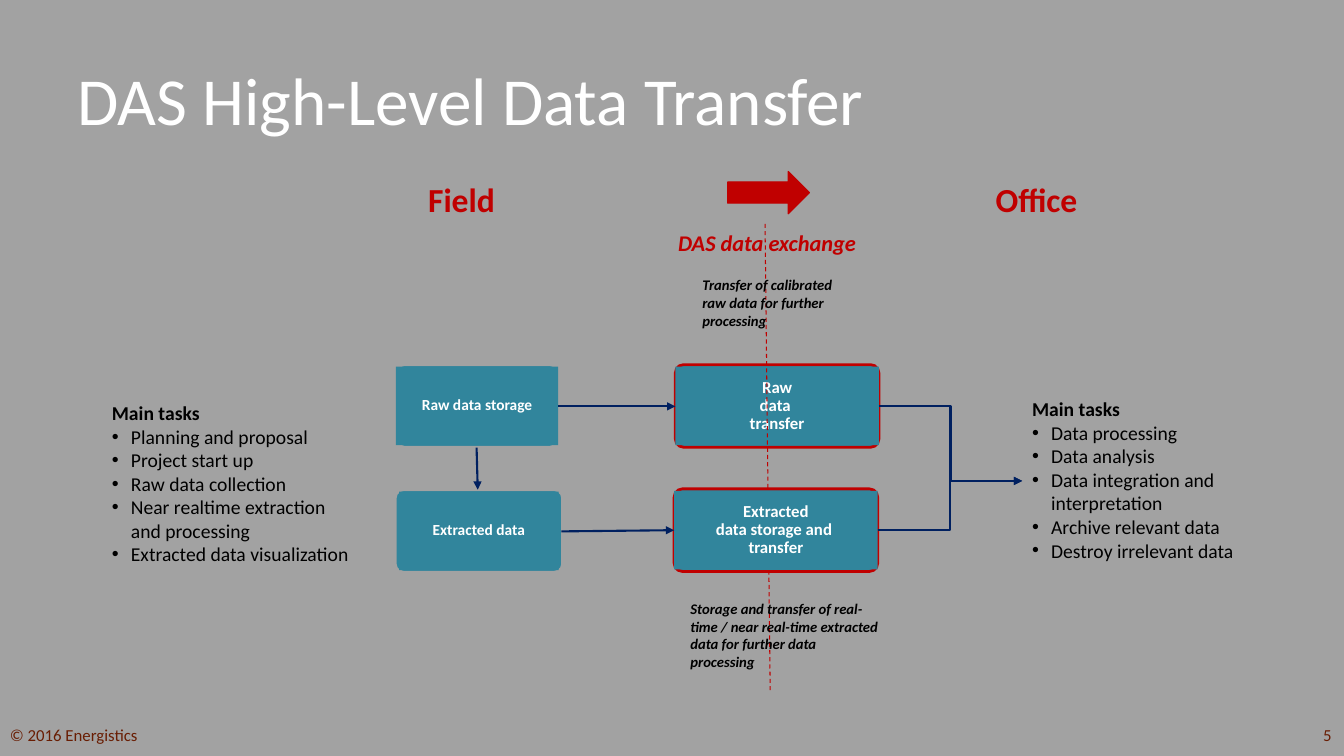
from copy import deepcopy
from pptx import Presentation
from pptx.dml.color import RGBColor
from pptx.enum.dml import MSO_LINE
from pptx.enum.shapes import MSO_CONNECTOR, MSO_SHAPE
from pptx.enum.text import MSO_ANCHOR, PP_ALIGN
from pptx.oxml.ns import qn
from pptx.util import Cm, Pt
from lxml.etree import SubElement

RED, NAVY, TEAL, GREY = "C00000", "002060", "31859C", "A2A2A2"
WHITE, BLACK, BROWN = "FFFFFF", "000000", "691D03"


def paint(shape, fill=None, line=None, width=1):
    if fill:
        shape.shadow.inherit = False
        shape.fill.solid()
        shape.fill.fore_color.rgb = RGBColor.from_string(fill)
    else:
        SubElement(shape._element.spPr, qn("a:effectLst"))
    if line:
        shape.line.color.rgb = RGBColor.from_string(line)
        shape.line.width = Pt(width)
    else:
        shape.line.fill.background()


def write(shape, text, size=14, color=BLACK, bold=False, italic=False, align=PP_ALIGN.LEFT,
          anchor=MSO_ANCHOR.TOP, insets=(0.25, 0.13, 0.25, 0.13), spacing=1.0,
          bullets=(), wrap=True):
    frame = shape.text_frame
    frame.word_wrap = wrap
    frame.vertical_anchor = anchor
    frame.margin_left, frame.margin_top, frame.margin_right, frame.margin_bottom = map(Cm, insets)
    for index, content in enumerate((text, *bullets)):
        paragraph = frame.add_paragraph() if index else frame.paragraphs[0]
        paragraph.text = content
        paragraph.alignment = align
        paragraph.line_spacing = spacing
        if index:
            properties = paragraph._p.get_or_add_pPr()
            properties.set("marL", str(Cm(0.48)))
            properties.set("indent", str(-Cm(0.48)))
            SubElement(properties, qn("a:buFont")).set("typeface", "Arial")
            SubElement(properties, qn("a:buChar")).set("char", "•")
        for run in paragraph.runs:
            run.font.name = "Calibri"
            run.font.size = Pt(size)
            run.font.bold = bold and not index
            run.font.italic = italic
            run.font.color.rgb = RGBColor.from_string(color)
        for line_break in paragraph._p.findall(qn("a:br")):
            line_break.insert(0, deepcopy(paragraph.runs[0]._r.rPr))


presentation = Presentation()
presentation.slide_width = Cm(33.87)
presentation.slide_height = Cm(19.05)
slide = presentation.slides.add_slide(presentation.slide_layouts[6])
slide.background.fill.solid()
slide.background.fill.fore_color.rgb = RGBColor.from_string(GREY)
shapes = slide.shapes

boxes = [
    ("Raw data storage", 11, 9.98, 9.19, 4.09, 0, GREY),
    ("Extracted data", 11, 9.96, 12.34, 4.22, 0.1, GREY),
    ("Raw\ndata \ntransfer", 12, 17.02, 9.19, 5.13, 0, RED),
    ("Extracted\ndata storage and \ntransfer", 12, 16.99, 12.32, 5.13, 0, RED),
]
for label, size, left, top, width, inset, outline in boxes:
    border = shapes.add_shape(MSO_SHAPE.ROUNDED_RECTANGLE, Cm(left), Cm(top), Cm(width), Cm(2.08))
    border.adjustments[0] = 0.1
    paint(border, TEAL, outline, 2)
    panel = shapes.add_shape(MSO_SHAPE.RECTANGLE, Cm(left + inset), Cm(top + 0.05),
                             Cm(width - 2 * inset), Cm(1.98))
    paint(panel, TEAL)
    write(panel, label, size=size, color=WHITE, bold=True, align=PP_ALIGN.CENTER,
          anchor=MSO_ANCHOR.MIDDLE, insets=(0.03,) * 4, spacing=0.9)

divider = shapes.add_connector(MSO_CONNECTOR.STRAIGHT, Cm(19.28), Cm(5.64), Cm(19.41), Cm(17.45))
paint(divider, line=RED, width=0.75)
divider.line.dash_style = MSO_LINE.DASH
border._element.addprevious(divider._element)

flows = [
    (MSO_CONNECTOR.STRAIGHT, 12.01, 11.28, 12.04, 12.34),
    (MSO_CONNECTOR.STRAIGHT, 14.07, 10.24, 17.02, 10.24),
    (MSO_CONNECTOR.STRAIGHT, 14.15, 13.39, 16.99, 13.36),
    (MSO_CONNECTOR.ELBOW, 22.15, 10.24, 25.76, 12.12),
    (MSO_CONNECTOR.ELBOW, 22.12, 13.36, 25.76, 12.12),
]
for kind, *ends in flows:
    flow = shapes.add_connector(kind, *map(Cm, ends))
    paint(flow, line=NAVY, width=1.5)
    SubElement(flow.line._get_or_add_ln(), qn("a:tailEnd")).set("type", "triangle")

exchange_arrow = shapes.add_shape(MSO_SHAPE.RIGHT_ARROW, Cm(18.34), Cm(4.32), Cm(2.06), Cm(1.07))
paint(exchange_arrow, RED, RED, 0.75)

heading = dict(size=24, color=RED, bold=True)
remark = dict(size=10.5, bold=True, italic=True)
footer = dict(size=12, color=BROWN)
field_tasks = ["Planning and proposal", "Project start up", "Raw data collection",
               "Near realtime extraction\nand processing", "Extracted data visualization"]
office_tasks = ["Data processing", "Data analysis", "Data integration and\ninterpretation",
                "Archive relevant data", "Destroy irrelevant data"]
texts = [
    ("DAS High-Level Data Transfer", (1.7, 0.76, 30.48, 3.18),
     dict(size=48, color=WHITE, anchor=MSO_ANCHOR.MIDDLE, insets=(0.25, 0.38, 0.25, 0.13))),
    ("Field", (10.54, 4.37, 3.94, 1.27), heading),
    ("Office", (24.84, 4.39, 3.71, 1.27), heading),
    ("DAS data exchange", (16.84, 5.64, 7.09, 0.94),
     dict(size=16, color=RED, bold=True, italic=True)),
    ("Transfer of calibrated raw data for further processing", (17.45, 6.83, 4.19, 2.06), remark),
    ("Storage and transfer of real-time / near real-time extracted data for further data processing",
     (17.15, 14.99, 5.26, 2.06), remark),
    ("Main tasks", (2.57, 9.98, 7.19, 5.05), dict(bold=True, bullets=field_tasks)),
    ("Main tasks", (25.76, 9.88, 7.19, 4.45), dict(bold=True, bullets=office_tasks)),
    ("© 2016 Energistics", (0, 18.14, 3.78, 0.76), dict(footer, wrap=False)),
    ("5", (32.54, 18.14, 1.27, 0.76), dict(footer, align=PP_ALIGN.RIGHT)),
]
for text, place, style in texts:
    write(shapes.add_textbox(*map(Cm, place)), text, **style)

presentation.save("out.pptx")
